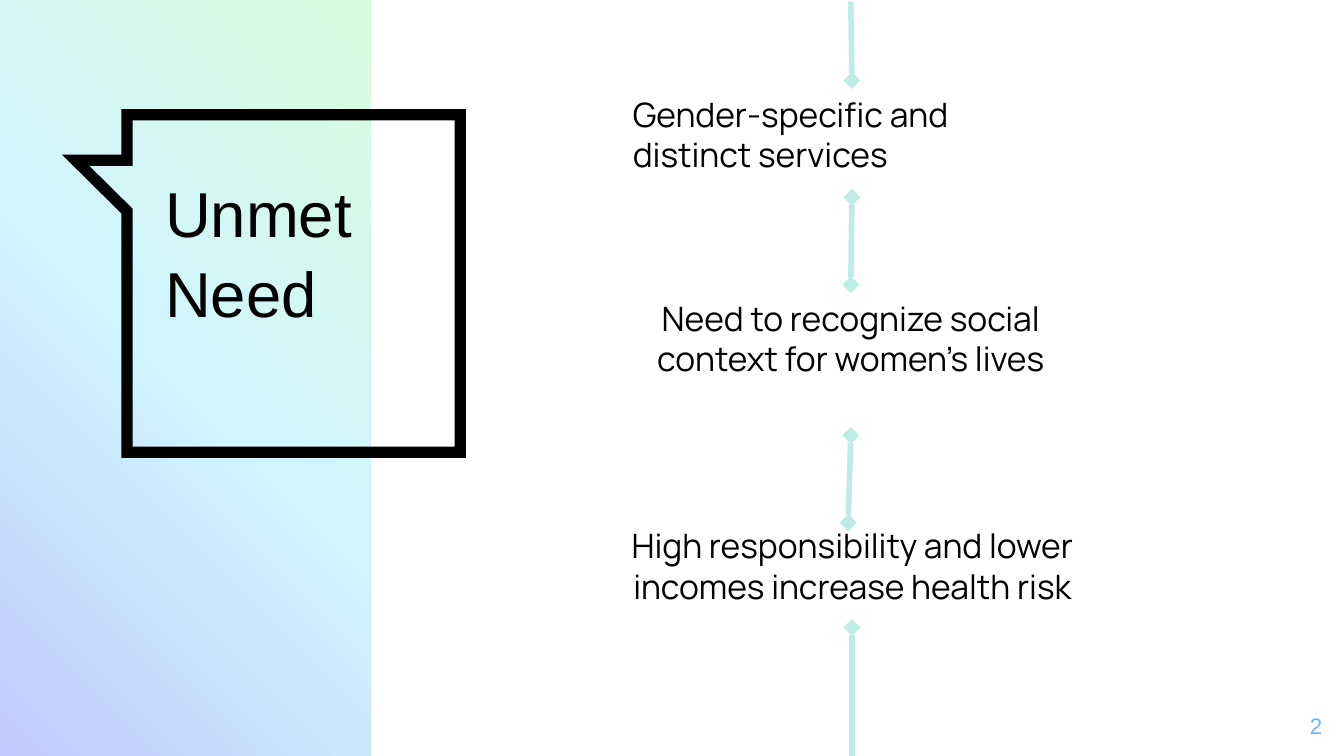
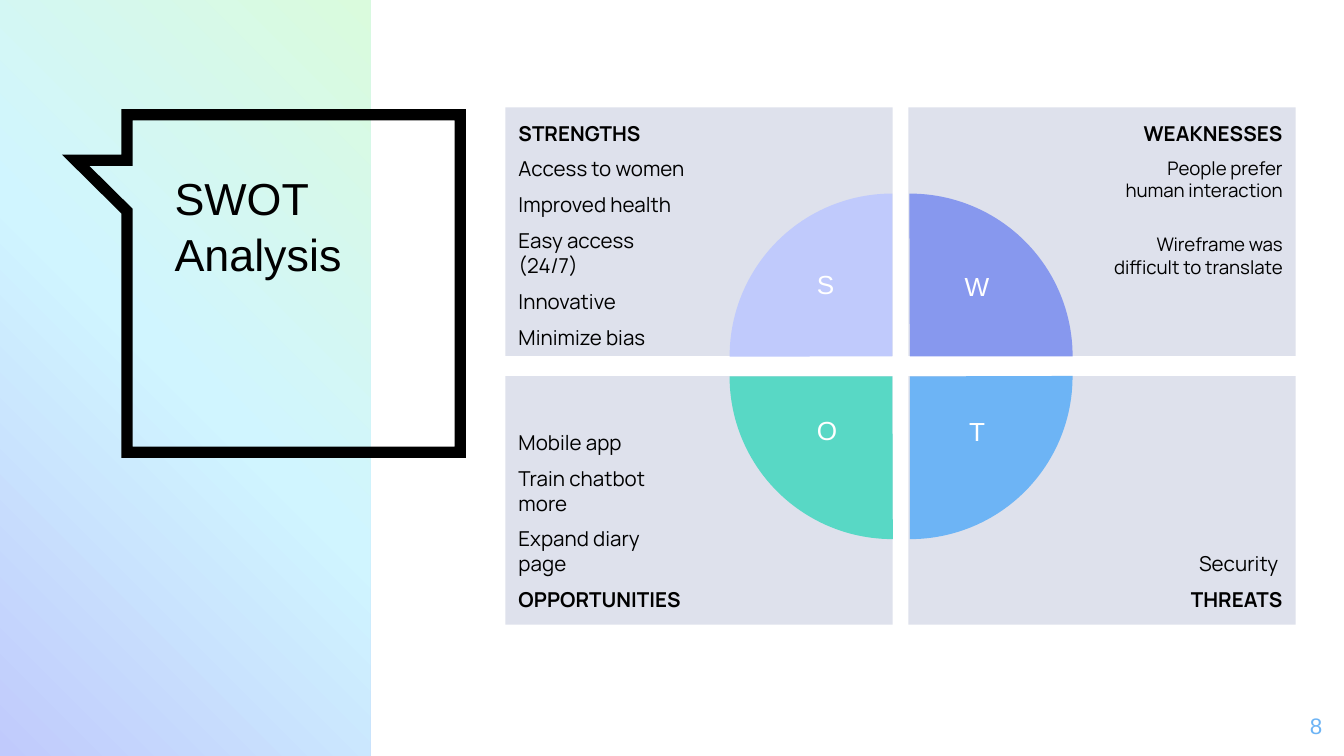
from copy import deepcopy
from dataclasses import dataclass

from lxml.etree import SubElement
from pptx import Presentation
from pptx.dml.color import RGBColor
from pptx.enum.shapes import MSO_CONNECTOR, MSO_SHAPE
from pptx.enum.text import MSO_ANCHOR, PP_ALIGN
from pptx.oxml.ns import qn
from pptx.util import Cm, Pt


@dataclass(frozen=True)
class Theme:
    ink: str = "000000"
    white: str = "FFFFFF"
    line: str = "BDECE5"
    card: str = "DEE1EC"
    lilac: str = "C0CAFC"
    violet: str = "8798EE"
    blue: str = "6DB4F5"
    teal: str = "58D8C5"
    fade: tuple = ("C0CAFC", "D0F5FF", "DAFBDD")
    head: str = "Arial"
    body: str = "Manrope"
    big: int = 34
    title: int = 24
    text: int = 18
    mark: int = 14
    page: int = 12
    item: int = 11
    small: int = 10


T = Theme()
LEFT, MID, RIGHT = PP_ALIGN.LEFT, PP_ALIGN.CENTER, PP_ALIGN.RIGHT
TOP, BASE = MSO_ANCHOR.TOP, MSO_ANCHOR.BOTTOM
PAD = 0.25


def put(frame, lines, anchor=TOP, pad=(PAD, PAD, PAD, PAD), **form):
    """Fill a frame; a line is text, or text with its own format."""
    frame.word_wrap = True
    frame.vertical_anchor = anchor
    (frame.margin_left, frame.margin_top,
     frame.margin_right, frame.margin_bottom) = [Cm(p) for p in pad]
    for n, line in enumerate(lines):
        words, own = (line, {}) if isinstance(line, str) else line
        look = {**form, **own}
        para = frame.paragraphs[0] if n == 0 else frame.add_paragraph()
        para.alignment = look.get("align", LEFT)
        para.line_spacing = look.get("lead", 1.0)
        para.space_before = Pt(look.get("gap", 0) if n else 0)
        run = para.add_run()
        run.text = words
        run.font.name = look.get("font", T.body)
        run.font.size = Pt(look.get("size", T.item))
        run.font.bold = look.get("bold", False)
        run.font.color.rgb = RGBColor.from_string(look.get("color", T.ink))


def draw(slide, kind, box, color):
    """Add a plain filled shape without line or shadow."""
    shape = slide.shapes.add_shape(kind, *[Cm(v) for v in box])
    shape.shadow.inherit = False
    shape.fill.solid()
    shape.fill.fore_color.rgb = RGBColor.from_string(color)
    shape.line.fill.background()
    return shape


deck = Presentation()
deck.slide_width, deck.slide_height = Cm(25.4), Cm(14.29)
plan = deck.slide_layouts[5]
need, swot = [deck.slides.add_slide(plan) for _ in range(2)]

# Shared gradient band
band = draw(need, MSO_SHAPE.RECTANGLE, (0, 0, 7, 14.29), T.white)
band.fill.gradient()
band.fill.gradient_angle = 45
stops = band.element.find(".//" + qn("a:gsLst"))
stops.insert(1, deepcopy(stops[0]))
for n, stop in enumerate(band.fill.gradient_stops):
    stop.position = n / 2
    stop.color.rgb = RGBColor.from_string(T.fade[n])

# Shared speech bubble
edge = [(2.4, 2.17), (8.7, 2.17), (8.7, 8.55), (2.4, 8.55),
        (2.4, 3.99), (1.43, 3.03), (2.4, 3.03)]
edge = [(Cm(x), Cm(y)) for x, y in edge]
pen = need.shapes.build_freeform(*edge[0])
pen.add_line_segments(edge[1:], close=True)
bubble = pen.convert_to_shape()
bubble.shadow.inherit = False
bubble.fill.background()
bubble.line.color.rgb = RGBColor.from_string(T.ink)
bubble.line.width = Pt(6)
SubElement(bubble.line._get_or_add_ln(), qn("a:miter"), lim="800000")

# Both belong to the layout, behind the titles
for n, shape in enumerate((band, bubble)):
    shape.element.nvSpPr.cNvPr.id = 20 + n
    plan.shapes.element.append(shape.element)

# Titles and page numbers
for slide, lines, size, box, page in (
    (need, ["Unmet", "Need"], T.big, (2.87, 2.97, 4.47, 5.31), "2"),
    (swot, ["SWOT Analysis"], T.title, (3.05, 2.92, 5.11, 5.03), "8"),
):
    title = slide.shapes.title
    title.left, title.top, title.width, title.height = [Cm(v) for v in box]
    put(title.text_frame, lines, size=size, font=T.head, lead=1.05)
    foot = slide.shapes.add_textbox(Cm(23.72), Cm(13.18), Cm(1.52), Cm(1.09))
    put(foot.text_frame, [page], anchor=MSO_ANCHOR.MIDDLE, size=T.page,
        font=T.head, color=T.blue, align=RIGHT)

# Need: line pieces with diamond ends
for x1, y1, x2, y2, ends in (
    (16.08, 0.03, 16.1, 1.52, ["tailEnd"]),
    (16.1, 3.73, 16.08, 5.38, ["headEnd", "tailEnd"]),
    (16.08, 8.23, 16.03, 9.88, ["headEnd", "tailEnd"]),
    (16.1, 11.86, 16.1, 14.83, ["headEnd"]),
):
    link = need.shapes.add_connector(
        MSO_CONNECTOR.STRAIGHT, Cm(x1), Cm(y1), Cm(x2), Cm(y2))
    link.line.color.rgb = RGBColor.from_string(T.line)
    link.line.width = Pt(3)
    for end in ends:
        SubElement(link.line._get_or_add_ln(), qn("a:" + end), type="diamond")
    SubElement(link.element.spPr, qn("a:effectLst"))

# Need: statements
for words, box, align in (
    ("Gender-specific and distinct services", (11.71, 1.52, 8.79, 2.18), LEFT),
    ("Need to recognize social context for women’s lives",
     (11.99, 5.38, 8.18, 2.34), MID),
    ("High responsibility and lower incomes increase health risk",
     (11.13, 9.68, 9.96, 2.18), MID),
):
    note = need.shapes.add_textbox(*[Cm(v) for v in box])
    put(note.text_frame, [words], size=T.text, align=align)

# SWOT: cards in a two by two grid
bold, small = {"bold": True}, {"size": T.small}
cards = (
    [("STRENGTHS", bold), "Access to women", "Improved health",
     "Easy access (24/7)", "Innovative", "Minimize bias"],
    [("WEAKNESSES", bold), ("People prefer human interaction", small),
     ("Wireframe was difficult to translate", {**small, "gap": 17})],
    ["Mobile app", "Train chatbot more", "Expand diary page",
     ("OPPORTUNITIES", bold)],
    ["Security ", ("THREATS", bold)],
)
for n, lines in enumerate(cards):
    row, col = divmod(n, 2)
    card = draw(swot, MSO_SHAPE.RECTANGLE,
                (9.55 + 7.62 * col, 2.03 + 5.08 * row, 7.32, 4.7), T.card)
    pad = (3.81, PAD, PAD, PAD) if col else (PAD, PAD, 3.81, PAD)
    put(card.text_frame, lines, anchor=BASE if row else TOP, pad=pad,
        align=RIGHT if col else LEFT, gap=6)

# SWOT: quarter circles, clockwise from top left
for n, (col, row, color) in enumerate((
    (0, 0, T.lilac), (1, 0, T.violet), (1, 1, T.blue), (0, 1, T.teal),
)):
    pie = draw(swot, MSO_SHAPE.PIE,
               (13.79 + 0.33 * col, 3.66 + 0.38 * row, 6.15, 6.15), color)
    pie.adjustments[0], pie.adjustments[1] = 107.89, 162
    pie.rotation = 90 * n

# SWOT: letters
for sign, x, y, wide in (
    ("S", 15.21, 4.95, 0.79), ("W", 17.68, 4.98, 1.57),
    ("O", 15.11, 7.7, 1.04), ("T", 17.98, 7.72, 0.97),
):
    mark = swot.shapes.add_textbox(Cm(x), Cm(y), Cm(wide), Cm(1.12))
    put(mark.text_frame, [sign], pad=(0, 0.13, 0, 0.13), size=T.mark,
        font=T.head, color=T.white, align=MID)

deck.save("out.pptx")
